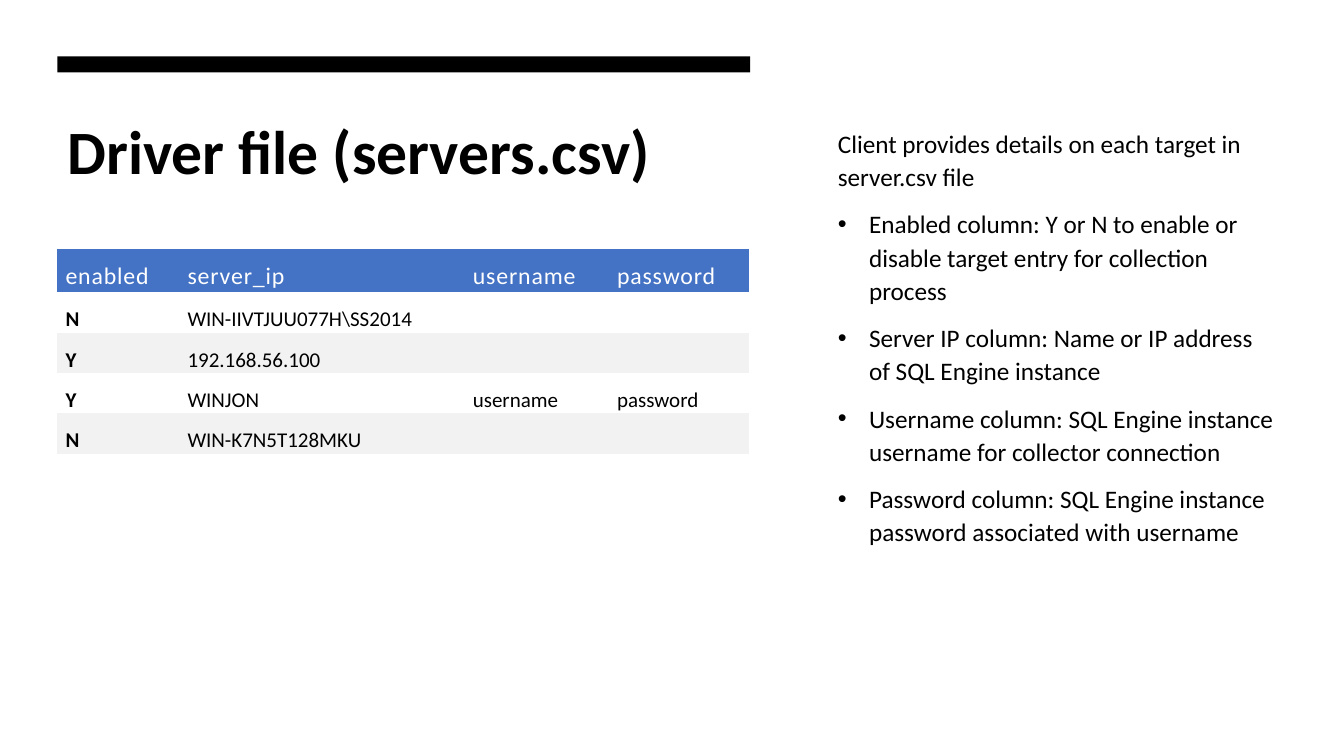
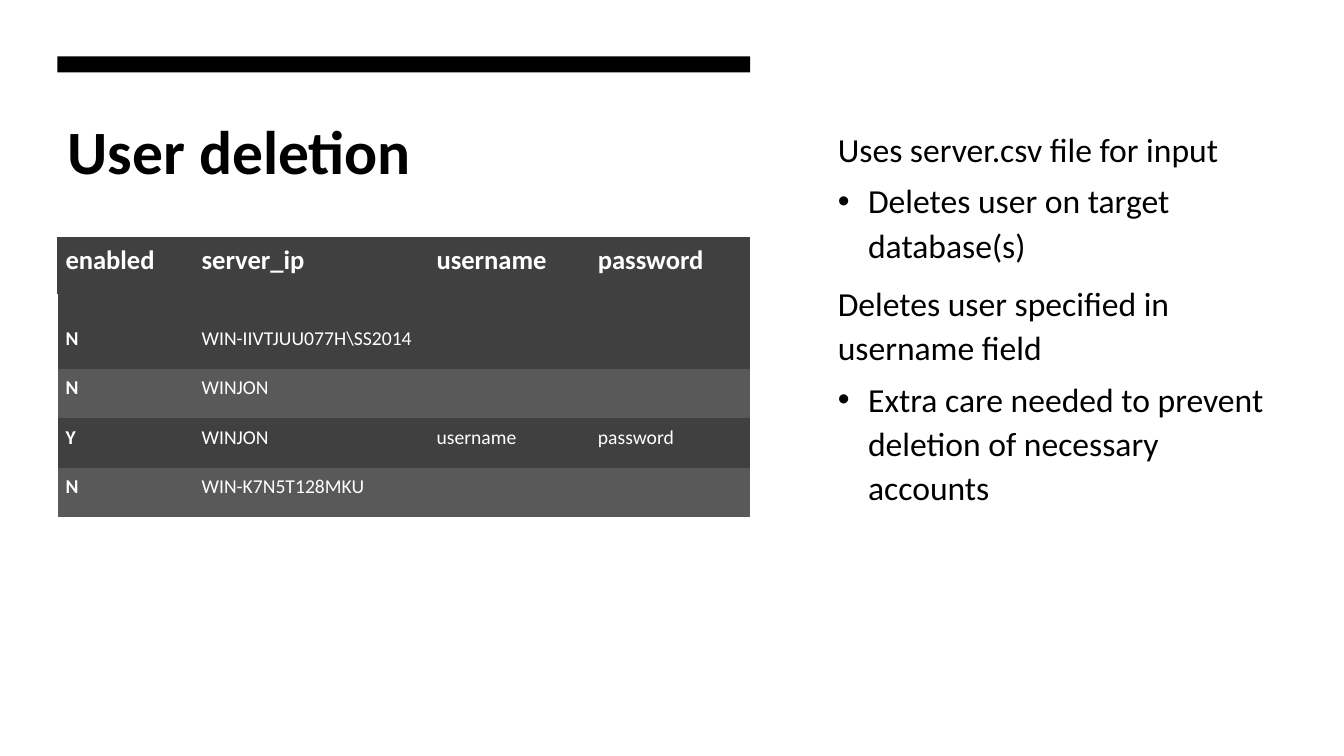
import dataclasses
import lxml.etree
import pptx
import pptx.dml.color
import pptx.enum.shapes
import pptx.enum.text
import pptx.oxml.ns
import pptx.util

ANCHOR = pptx.enum.text.MSO_ANCHOR
COLUMNS = ["enabled", "server_ip", "username", "password"]


@dataclasses.dataclass(frozen=True)
class Theme:
    font: str = "Calibri"
    ink: str = "000000"
    paper: str = "FFFFFF"
    title_size: int = 44
    line_spacing: float = 1.1
    space_before: tuple = (10, 5)
    width: float = 13.33
    height: float = 7.5
    left: float = 0.57
    main_width: float = 6.87
    bar: tuple = (0.56, 0.16)
    title: tuple = (1.07, 1.45)
    body: tuple = (8.21, 1.19, 4.55, 5.75)


@dataclasses.dataclass(frozen=True)
class TableStyle:
    top: float
    columns: tuple
    rows: tuple
    insets: tuple
    header_fill: str
    row_fills: tuple
    header_size: int
    row_size: int
    text_color: str
    header_anchor: object = ANCHOR.BOTTOM
    header_bold: bool = False
    header_tracking: float = 0
    left_edge: bool = False


THEME = Theme()
LIGHT = TableStyle(
    top=2.47, columns=(1.21, 2.83, 1.43, 1.39), rows=(0.43,) + (0.4,) * 4,
    insets=(0.08, 0.11, 0.08, 0), header_fill="4472C4", row_fills=(None, "F2F2F2"),
    header_size=17, row_size=15, text_color=THEME.ink,
    header_anchor=ANCHOR.MIDDLE, header_tracking=0.6)
DARK = TableStyle(
    top=2.35, columns=(1.35, 2.33, 1.6, 1.59), rows=(0.57, 0.74) + (0.49,) * 3,
    insets=(0.08, 0.02, 0.09, 0.18), header_fill="404040", row_fills=("404040", "595959"),
    header_size=19, row_size=14, text_color=THEME.paper,
    header_bold=True, left_edge=True)

PAGES = [
    {
        "title": "Driver file (servers.csv)",
        "body_size": 18,
        "indent": 0.31,
        "body": [
            (0, False, "Client provides details on each target in server.csv file"),
            (0, True, "Enabled column: Y or N to enable or disable target entry for collection process"),
            (0, True, "Server IP column: Name or IP address of SQL Engine instance"),
            (0, True, "Username column: SQL Engine instance username for collector connection"),
            (0, True, "Password column: SQL Engine instance password associated with username"),
        ],
        "style": LIGHT,
        "servers": [
            ("N", "WIN-IIVTJUU077H\\SS2014", "", ""),
            ("Y", "192.168.56.100", "", ""),
            ("Y", "WINJON", "username", "password"),
            ("N", "WIN-K7N5T128MKU", "", ""),
        ],
    },
    {
        "title": "User deletion",
        "body_size": 24,
        "indent": 0.3,
        "body": [
            (0, False, "Uses server.csv file for input"),
            (1, True, "Deletes user on target database(s)"),
            (0, False, "Deletes user specified in username field"),
            (1, True, "Extra care needed to prevent deletion of necessary accounts"),
        ],
        "style": DARK,
        "servers": [
            ("N", "WIN-IIVTJUU077H\\SS2014", "", ""),
            ("N", "WINJON", "", ""),
            ("Y", "WINJON", "username", "password"),
            ("N", "WIN-K7N5T128MKU", "", ""),
        ],
    },
]


def inches(*values):
    return [pptx.util.Inches(value) for value in values]


def rgb(code):
    return pptx.dml.color.RGBColor.from_string(code)


def element(parent, tag, **attributes):
    return lxml.etree.SubElement(parent, pptx.oxml.ns.qn(tag), **attributes)


def place(shape, *bounds):
    shape.left, shape.top, shape.width, shape.height = inches(*bounds)


def add_span(para, text, size, color, bold=False):
    span = para.add_run()
    span.text = text
    span.font.name = THEME.font
    span.font.size = pptx.util.Pt(size)
    span.font.bold = bold
    span.font.color.rgb = rgb(color)
    return span


def prepare_frame(box):
    frame = box.text_frame
    frame.word_wrap = True
    frame.auto_size = pptx.enum.text.MSO_AUTO_SIZE.NONE
    frame.vertical_anchor = ANCHOR.TOP
    return frame


def fill_title(box, text):
    top, height = THEME.title
    place(box, THEME.left, top, THEME.main_width, height)
    para = prepare_frame(box).paragraphs[0]
    para.alignment = pptx.enum.text.PP_ALIGN.LEFT
    add_span(para, text, THEME.title_size, THEME.ink, True)


def set_bullet(para, bulleted, indent):
    properties = para._p.get_or_add_pPr()
    hang = pptx.util.Inches(indent) if bulleted else 0
    properties.set("marL", str(hang))
    properties.set("indent", str(-hang))
    if bulleted:
        element(properties, "a:buFont", typeface="Arial")
        element(properties, "a:buChar", char="•")
    else:
        element(properties, "a:buNone")


def fill_body(box, items, size, indent):
    place(box, *THEME.body)
    frame = prepare_frame(box)
    for index, (level, bulleted, text) in enumerate(items):
        para = frame.add_paragraph() if index else frame.paragraphs[0]
        para.level = level
        para.line_spacing = THEME.line_spacing
        para.space_before = pptx.util.Pt(THEME.space_before[level])
        set_bullet(para, bulleted, indent)
        add_span(para, text, size, THEME.ink)


def add_bar(page):
    top, height = THEME.bar
    bar = page.shapes.add_shape(
        pptx.enum.shapes.MSO_SHAPE.RECTANGLE,
        *inches(THEME.left, top, THEME.main_width, height))
    bar.shadow.inherit = False
    bar.fill.solid()
    bar.fill.fore_color.rgb = rgb(THEME.ink)
    bar.line.fill.background()


def paint_cell(cell, color):
    if color:
        cell.fill.solid()
        cell.fill.fore_color.rgb = rgb(color)
    else:
        cell.fill.background()


def add_left_edge(cell):
    properties = cell._tc.get_or_add_tcPr()
    edge = element(properties, "a:lnL", w=str(pptx.util.Pt(1)))
    element(element(edge, "a:solidFill"), "a:srgbClr", val=THEME.paper)
    properties.insert(0, edge)


def fill_cell(cell, text, row, column, style):
    header = row == 0
    cell.margin_left, cell.margin_top, cell.margin_right, cell.margin_bottom = inches(*style.insets)
    cell.vertical_anchor = style.header_anchor if header else ANCHOR.BOTTOM
    paint_cell(cell, style.header_fill if header else style.row_fills[(row - 1) % 2])
    size = style.header_size if header else style.row_size
    para = cell.text_frame.paragraphs[0]
    if text:
        bold = style.header_bold if header else column == 0
        span = add_span(para, text, size, THEME.paper if header else style.text_color, bold)
        if header and style.header_tracking:
            span.font._element.set("spc", str(round(style.header_tracking * 100)))
    else:
        element(para._p, "a:endParaRPr", sz=str(size * 100))
    if style.left_edge and column == 0 and not header:
        add_left_edge(cell)


def add_server_table(page, servers, style):
    records = [COLUMNS, *servers]
    frame = page.shapes.add_table(
        len(records), len(COLUMNS),
        *inches(THEME.left, style.top, sum(style.columns), sum(style.rows)))
    table = frame.table
    table.horz_banding = False
    style_id = table._tbl.tblPr.find(pptx.oxml.ns.qn("a:tableStyleId"))
    style_id.text = "{2D5ABB26-0587-4C30-8999-92F81FD0307C}"
    for column, width in zip(table.columns, style.columns):
        column.width = pptx.util.Inches(width)
    for row, height in zip(table.rows, style.rows):
        row.height = pptx.util.Inches(height)
    for row, record in enumerate(records):
        for column, text in enumerate(record):
            fill_cell(table.cell(row, column), text, row, column, style)


def main():
    deck = pptx.Presentation()
    deck.slide_width, deck.slide_height = inches(THEME.width, THEME.height)
    for content in PAGES:
        page = deck.slides.add_slide(deck.slide_layouts[1])
        fill_title(page.shapes.title, content["title"])
        fill_body(page.placeholders[1], content["body"], content["body_size"], content["indent"])
        add_bar(page)
        add_server_table(page, content["servers"], content["style"])
    deck.save("out.pptx")


if __name__ == "__main__":
    main()
